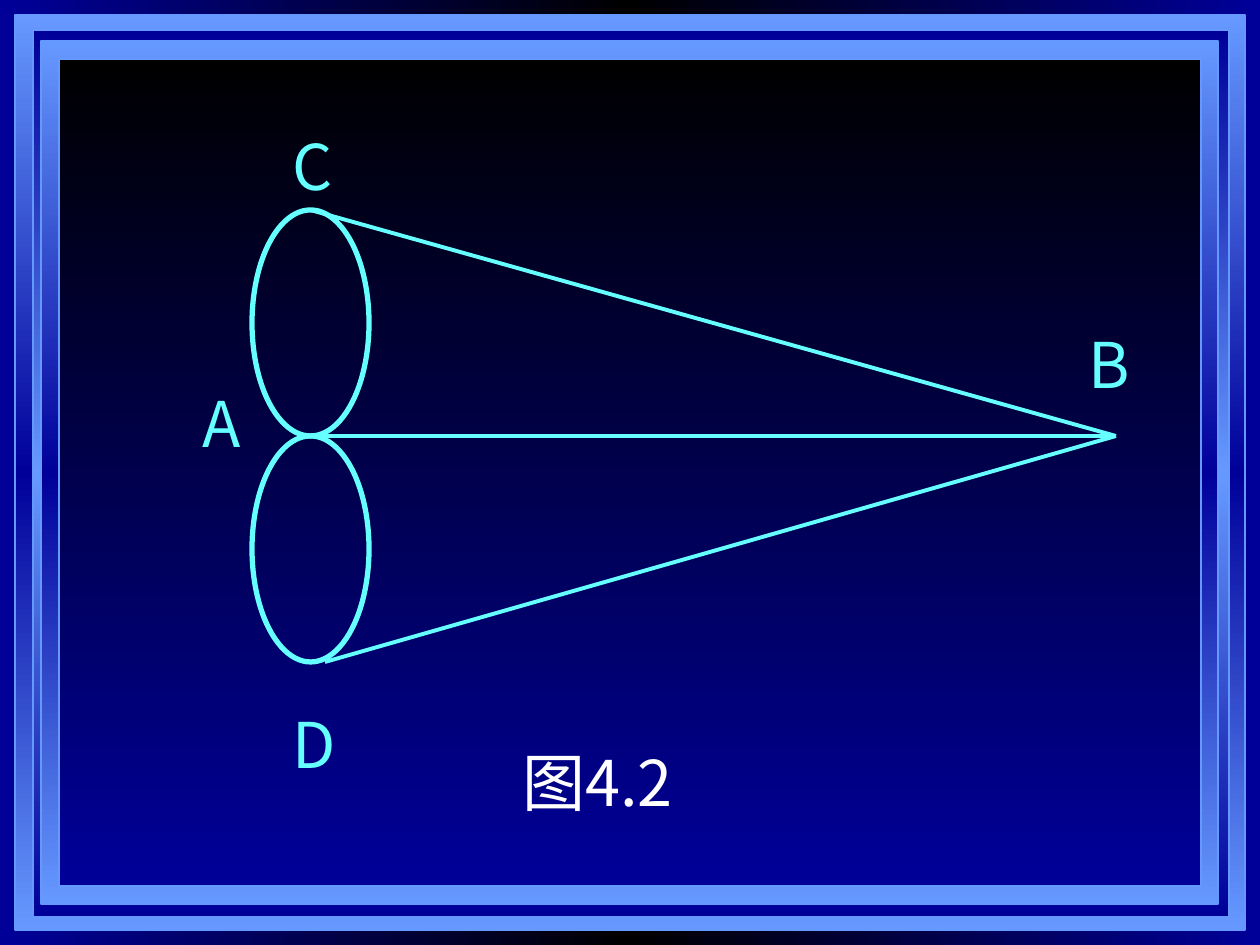
from lxml.etree import SubElement
from pptx import Presentation
from pptx.dml.color import RGBColor
from pptx.enum.shapes import MSO_CONNECTOR, MSO_SHAPE
from pptx.enum.text import MSO_AUTO_SIZE
from pptx.oxml.ns import qn
from pptx.util import Emu, Pt

PX = 914400 // 126
FONT = "Noto Sans CJK SC"
C = {"navy": "000099", "black": "000000", "frame": "6699FF",
     "cyan": "66FFFF", "white": "FFFFFF"}

# Content: boxes are left, top, width, height in px
BACKGROUND = ("navy", "black", "navy")
FRAMES = [
    ((15, 15, 1230, 915), ("frame", "navy", "frame")),
    ((33, 30, 1196, 887), ("navy", "frame", "navy")),
    ((41, 41, 1177, 863), ("frame", "navy", "frame")),
    ((59, 59, 1142, 827), ("black", "navy")),
]
LOOP_LEFT, LOOP_TOP, LOOP_W, LOOP_H = 252, 210, 117, 226
POINT_B = (1116, LOOP_TOP + LOOP_H)
START_D = (325, LOOP_TOP + 2 * LOOP_H)
LABELS = [  # text, box, colour, wrap
    ("图4.2", (510, 752, 193, 73), "white", False),
    ("A", (190, 393, 63, 73), "cyan", False),
    ("C", (280, 136, 63, 73), "cyan", False),
    ("D", (280, 714, 63, 73), "cyan", False),
    ("B", (1076, 334, 73, 73), "cyan", True),
]


def px(*values):
    return [Emu(v * PX) for v in values]


def rgb(name):
    return RGBColor.from_string(C[name])


def set_gradient(fill, element, names, angle):
    """Spread the named colours evenly; angle is clockwise degrees."""
    fill.gradient()
    grad = element.find(".//" + qn("a:gradFill"))
    for child in list(grad):
        grad.remove(child)
    stops = SubElement(grad, qn("a:gsLst"))
    for i, name in enumerate(names):
        stop = SubElement(stops, qn("a:gs"), pos=str(100000 * i // (len(names) - 1)))
        SubElement(stop, qn("a:srgbClr"), val=C[name])
    SubElement(grad, qn("a:lin"), ang=str(angle * 60000), scaled="0")


def add_outline(s, kind, box, color, width):
    sp = s.shapes.add_shape(kind, *px(*box))
    sp.shadow.inherit = False
    sp.line.color.rgb = rgb(color)
    sp.line.width = Pt(width)
    return sp


def add_ray(s, start):
    ray = s.shapes.add_connector(MSO_CONNECTOR.STRAIGHT, *px(*start, *POINT_B))
    ray.line.color.rgb = rgb("cyan")
    ray.line.width = Pt(2.25)
    SubElement(ray._element.spPr, qn("a:effectLst"))
    return ray


def add_label(s, text, box, color, wrap):
    tf = s.shapes.add_textbox(*px(*box)).text_frame
    tf.word_wrap = wrap
    tf.auto_size = MSO_AUTO_SIZE.SHAPE_TO_FIT_TEXT
    p = tf.paragraphs[0]
    p.line_spacing = 0.8
    p.space_before = Pt(9)
    r = p.add_run()
    r.text = text
    r.font.size = Pt(36)
    r.font.name = FONT
    r.font.color.rgb = rgb(color)
    SubElement(r.font._element, qn("a:ea"), typeface=FONT)


def main():
    prs = Presentation()
    prs.slide_width, prs.slide_height = px(1260, 945)
    s = prs.slides.add_slide(prs.slide_layouts[6])
    set_gradient(s.background.fill, s._element, BACKGROUND, 0)

    # Nested border frames
    for box, names in FRAMES:
        sp = add_outline(s, MSO_SHAPE.RECTANGLE, box, "frame", 1)
        set_gradient(sp.fill, sp._element, names, 90)

    # Two stacked loops
    loops = []
    for i in range(2):
        box = (LOOP_LEFT, LOOP_TOP + i * LOOP_H, LOOP_W, LOOP_H)
        loop = add_outline(s, MSO_SHAPE.OVAL, box, "cyan", 3)
        loop.fill.background()
        loops.append(loop)

    # Rays meeting at B: from the top of each loop, and from D
    for i, loop in enumerate(loops):
        ray = add_ray(s, (LOOP_LEFT + LOOP_W // 2, LOOP_TOP + i * LOOP_H))
        ray.begin_connect(loop, 0)
    add_ray(s, START_D)

    # Caption and point names
    for label in LABELS:
        add_label(s, *label)

    prs.save("out.pptx")


if __name__ == "__main__":
    main()
